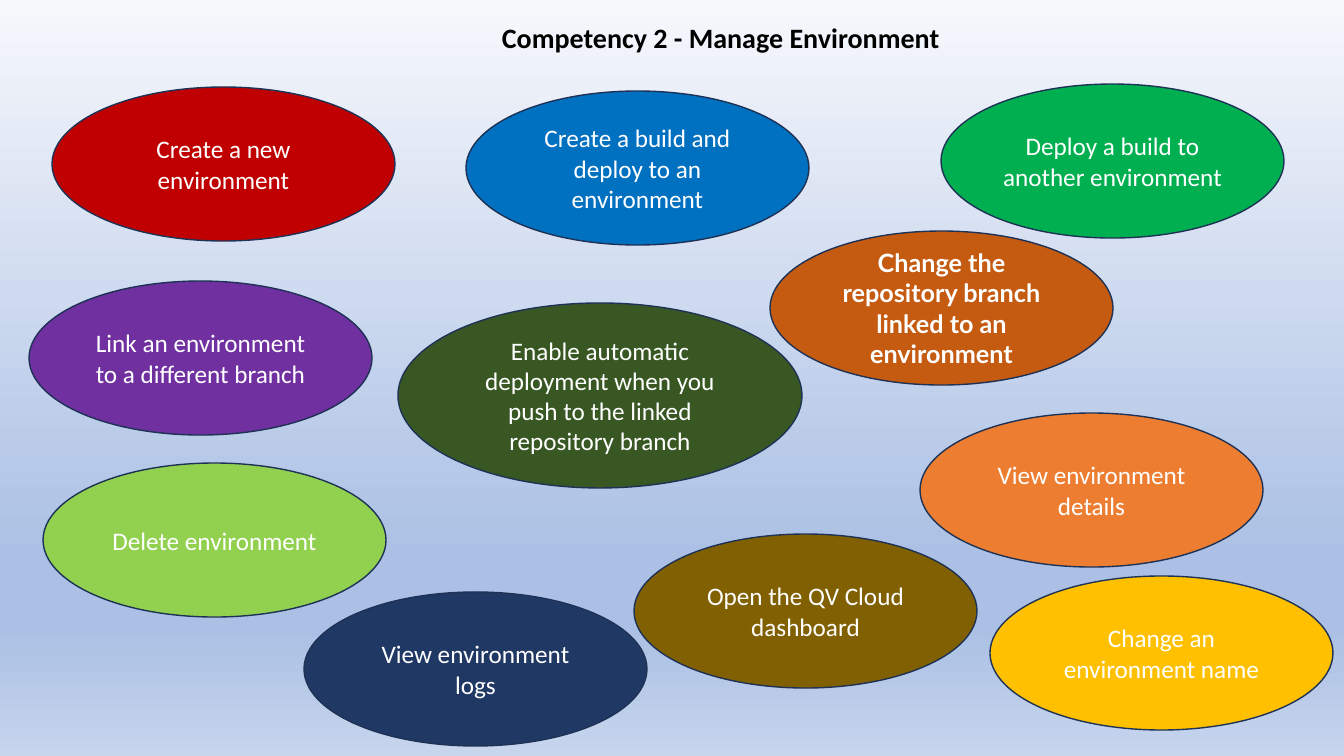
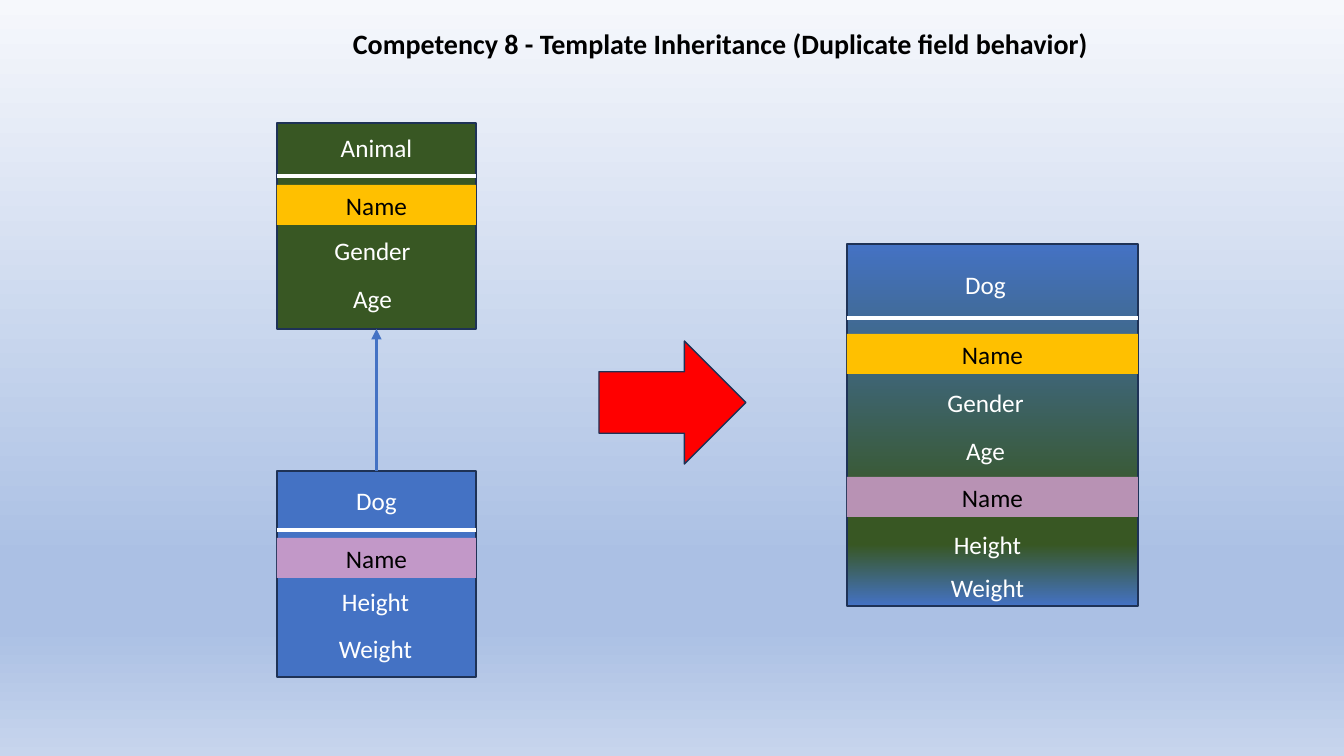
from lxml import etree
from pptx import Presentation
from pptx.dml.color import RGBColor
from pptx.enum.shapes import MSO_CONNECTOR, MSO_SHAPE
from pptx.enum.text import MSO_ANCHOR, MSO_AUTO_SIZE, PP_ALIGN
from pptx.oxml.ns import qn
from pptx.util import Emu, Pt

STRAIGHT = MSO_CONNECTOR.STRAIGHT
OVAL, RECTANGLE, RIGHT_ARROW = MSO_SHAPE.OVAL, MSO_SHAPE.RECTANGLE, MSO_SHAPE.RIGHT_ARROW
TOP, MIDDLE = MSO_ANCHOR.TOP, MSO_ANCHOR.MIDDLE
FIT_SHAPE = MSO_AUTO_SIZE.SHAPE_TO_FIT_TEXT
LEFT, CENTER = PP_ALIGN.LEFT, PP_ALIGN.CENTER

PX_PER_INCH = 100.8
PAGE_SIZE = (1344, 756)
WHITE, BLACK, OUTLINE = "FFFFFF", "000000", "1E3256"
BLUE, GREEN, GOLD, RED = "4472C4", "385723", "FFC000", "FF0000"
PAGE_GRADIENT = [(0, "F6F8FC"), (74, "ABC0E4"), (83, "ABC0E4"), (100, "C7D5ED")]
MERGED_GRADIENT = [(0, BLUE), (74, GREEN), (83, GREEN), (100, BLUE)]
BODY_FONT, ACCENT_FONT = "Calibri", "Lato"
TITLE_HEIGHT, ROW_HEIGHT, LABEL_WIDTH = 44, 40, 191
OVAL_SIZE = (343, 154)

# text, left, top, colour
TASKS = [
    ("Create a new environment", 52, 87, "C00000"),
    ("Create a build and deploy to an environment", 466, 91, "0070C0"),
    ("Deploy a build to another environment", 941, 84, "00B050"),
    ("Link an environment to a different branch", 29, 281, "7030A0"),
    ("Change an environment name", 990, 576, GOLD),
    ("Delete environment", 43, 463, "92D050"),
    ("View environment details", 920, 413, "ED7D31"),
    ("View environment logs", 304, 592, "203864"),
    ("Open the QV Cloud dashboard", 634, 534, "806000"),
]

# text, top within the card, sideways shift, band colour
ANIMAL_ROWS = [("Animal", 4, 0, None), ("Name", 62, 0, GOLD),
               ("Gender", 107, -4, None), ("Age", 155, -4, None)]
DOG_ROWS = [("Dog", 9, 0, None), ("Name", 67, 0, "C298C8"),
            ("Height", 110, -1, None), ("Weight", 157, -1, None)]
MERGED_ROWS = [("Dog", 20, -7, None), ("Name", 90, 0, GOLD),
               ("Gender", 138, -7, None), ("Age", 186, -7, None),
               ("Name", 233, 0, "B892B4"), ("Height", 280, -5, None),
               ("Weight", 323, -5, None)]


def px(length):
    return Emu(round(length * 914400 / PX_PER_INCH))


def emu_box(box):
    return [px(length) for length in box]


def rgb(colour):
    return RGBColor.from_string(colour)


def set_gradient(fill, owner, stops):
    """Give a fill a top-to-bottom gradient with any number of stops."""
    fill.gradient()
    gradient = next(owner.iter(qn("a:gradFill")))
    stop_list = gradient.find(qn("a:gsLst"))
    for stop in list(stop_list):
        stop_list.remove(stop)
    for percent, colour in stops:
        stop = etree.SubElement(stop_list, qn("a:gs"), pos=str(percent * 1000))
        etree.SubElement(stop, qn("a:srgbClr"), val=colour)
    gradient.find(qn("a:lin")).set("ang", "5400000")


def write(shape, text, colour, size=18, bold=False, font=BODY_FONT,
          align=CENTER, anchor=TOP, grow=True):
    frame = shape.text_frame
    frame.word_wrap = True
    frame.vertical_anchor = anchor
    if grow:
        frame.auto_size = FIT_SHAPE
    para = frame.paragraphs[0]
    para.alignment = align
    span = para.add_run()
    span.text = text
    span.font.name = font
    span.font.size = Pt(size)
    span.font.bold = bold
    span.font.color.rgb = rgb(colour)


def add_figure(page, kind, box, fill, outline=OUTLINE):
    """Add a preset shape; fill is a colour or a list of gradient stops."""
    shape = page.shapes.add_shape(kind, *emu_box(box))
    shape.shadow.inherit = False
    if isinstance(fill, list):
        set_gradient(shape.fill, shape._element, fill)
    else:
        shape.fill.solid()
        shape.fill.fore_color.rgb = rgb(fill)
    if outline:
        shape.line.color.rgb = rgb(outline)
        shape.line.width = Pt(1)
    else:
        shape.line.fill.background()
    return shape


def add_label(page, box, text, colour, **style):
    write(page.shapes.add_textbox(*emu_box(box)), text, colour, **style)


def add_line(page, start, end, colour, width):
    line = page.shapes.add_connector(STRAIGHT, *emu_box(start + end))
    line.line.color.rgb = rgb(colour)
    line.line.width = Pt(width)
    etree.SubElement(line._element.spPr, qn("a:effectLst"))
    return line


def add_page(deck, title, left, top, width):
    page = deck.slides.add_slide(deck.slide_layouts[6])
    set_gradient(page.background.fill, page._element, PAGE_GRADIENT)
    add_label(page, (left, top, width, TITLE_HEIGHT), title, BLACK,
              size=20, bold=True, align=LEFT)
    return page


def add_task(page, text, box, colour, **style):
    oval = add_figure(page, OVAL, box, colour)
    write(oval, text, WHITE, anchor=MIDDLE, grow=False, **style)


def add_card(page, box, fill, rule, rows):
    """Draw a template card with a rule below its heading, and its fields."""
    left, top, width, height = box
    card = add_figure(page, RECTANGLE, box, fill)
    add_line(page, (left, top + rule), (left + width, top + rule), WHITE, 2.25)
    for text, offset, shift, band_colour in rows:
        if band_colour:
            band_box = (left, top + offset, width, ROW_HEIGHT)
            band = add_figure(page, RECTANGLE, band_box, band_colour, outline=None)
            write(band, text, BLACK)
        else:
            label_left = left + (width - LABEL_WIDTH) / 2 + shift
            add_label(page, (label_left, top + offset, LABEL_WIDTH, ROW_HEIGHT),
                      text, WHITE)
    return card


def add_inheritance(page, child, parent):
    arrow = add_line(page, (0, 0), (0, 0), BLUE, 2.5)
    arrow.begin_connect(child, 0)
    arrow.end_connect(parent, 2)
    etree.SubElement(arrow.line._get_or_add_ln(), qn("a:tailEnd"), type="triangle")


def add_environment_page(deck):
    page = add_page(deck, "Competency 2 - Manage Environment", 492, 16, 466)
    for text, left, top, colour in TASKS:
        add_task(page, text, (left, top) + OVAL_SIZE, colour)
    add_task(page, "Change the repository branch linked to an environment",
             (770, 231) + OVAL_SIZE, "C55A11", bold=True, font=ACCENT_FONT)
    add_task(page, "Enable automatic deployment when you push to the linked "
             "repository branch", (398, 303, 404, 185), GREEN)


def add_inheritance_page(deck):
    page = add_page(deck, "Competency 8 - Template Inheritance "
                    "(Duplicate field behavior)", 343, 22, 795)
    animal = add_card(page, (277, 123, 199, 206), GREEN, 53, ANIMAL_ROWS)
    dog = add_card(page, (277, 471, 199, 206), BLUE, 59, DOG_ROWS)
    add_inheritance(page, dog, animal)
    add_figure(page, RIGHT_ARROW, (599, 341, 147, 123), RED)
    add_card(page, (847, 244, 291, 362), MERGED_GRADIENT, 74, MERGED_ROWS)


def main():
    deck = Presentation()
    deck.slide_width, deck.slide_height = emu_box(PAGE_SIZE)
    add_environment_page(deck)
    add_inheritance_page(deck)
    deck.save("out.pptx")


if __name__ == "__main__":
    main()
